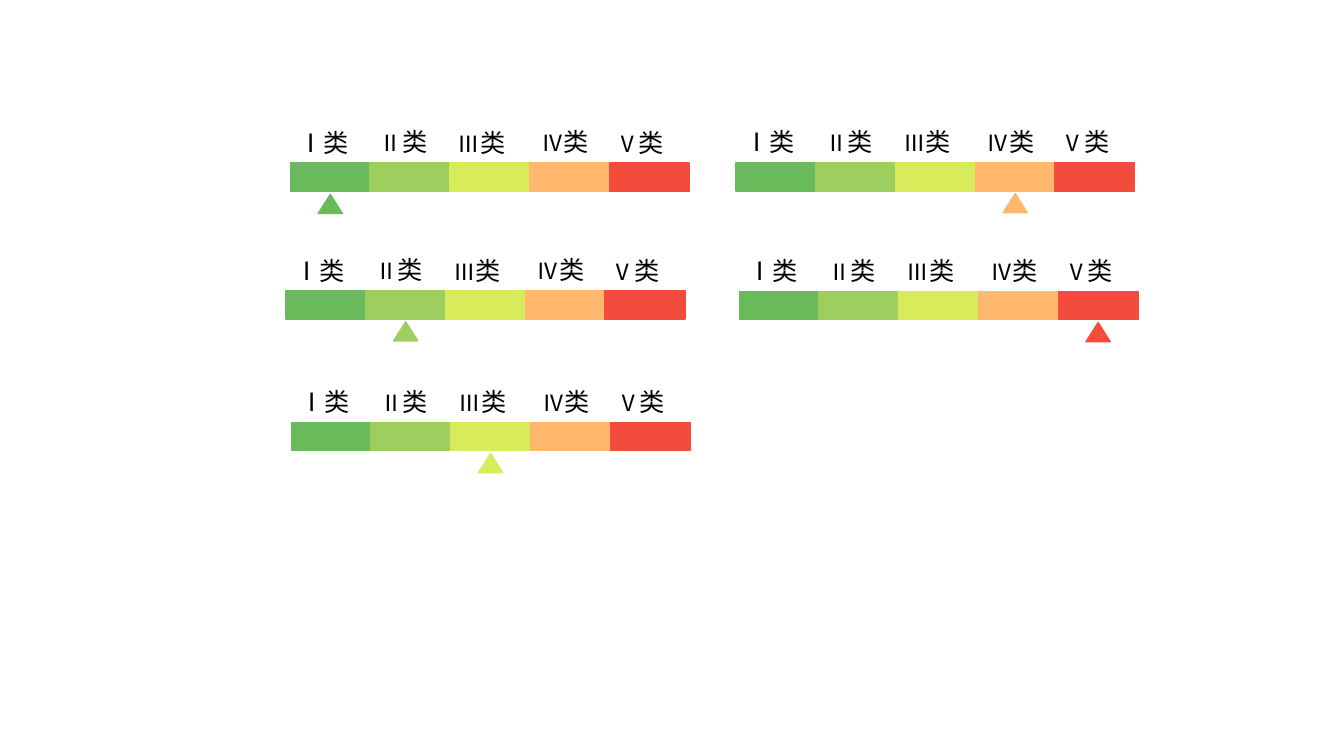
from lxml.etree import SubElement
from pptx import Presentation
from pptx.dml.color import RGBColor
from pptx.enum.shapes import MSO_SHAPE
from pptx.enum.text import MSO_AUTO_SIZE
from pptx.oxml.ns import qn
from pptx.util import Cm, Pt

BLACK = RGBColor(0x00, 0x00, 0x00)
GREEN = RGBColor(0x68, 0xBA, 0x5B)
LIGHT_GREEN = RGBColor(0x9E, 0xCE, 0x5E)
YELLOW = RGBColor(0xD8, 0xEB, 0x5B)
ORANGE = RGBColor(0xFF, 0xB8, 0x6E)
RED = RGBColor(0xF3, 0x4C, 0x3C)

CHINESE_FONT = "Noto Sans CJK SC"
NUMERAL_FONT = "Courier New"

CELL_WIDTH, CELL_HEIGHT = 2.01, 0.72
LABEL_HEIGHT = 1.02
MARKER_WIDTH, MARKER_HEIGHT = 0.61, 0.48
MARKER_DROP = 0.79

# numeral, numeral font, numeral size, colour, label shift right, label lift
GRADES = [
    ("Ⅰ", CHINESE_FONT, 18, GREEN, -0.04, 1.02),
    ("Ⅱ", NUMERAL_FONT, 16, LIGHT_GREEN, -0.01, 1.04),
    ("Ⅲ", NUMERAL_FONT, 16, YELLOW, -0.05, 1.02),
    ("Ⅳ", NUMERAL_FONT, 16, ORANGE, 0.04, 1.04),
    ("Ⅴ", NUMERAL_FONT, 16, RED, -0.08, 1.02),
]

SCALES = [
    (7.32, 4.11, 0),
    (7.21, 7.32, 1),
    (7.34, 10.64, 2),
    (18.55, 4.09, 3),
    (18.63, 7.34, 4),
]


def add_solid(page, kind, left, top, width, height, colour):
    shape = page.shapes.add_shape(kind, Cm(left), Cm(top), Cm(width), Cm(height))
    shape.shadow.inherit = False
    shape.fill.solid()
    shape.fill.fore_color.rgb = colour
    shape.line.color.rgb = colour
    shape.line.width = Pt(1)


def add_span(para, text, font_name, size):
    span = para.add_run()
    span.text = text
    span.font.size = Pt(size)
    span.font.color.rgb = BLACK
    span.font.name = font_name
    SubElement(span.font._element, qn("a:ea")).set("typeface", font_name)


def add_label(page, left, top, numeral, font_name, size):
    box = page.shapes.add_textbox(Cm(left), Cm(top), Cm(CELL_WIDTH), Cm(LABEL_HEIGHT))
    box.text_frame.word_wrap = True
    box.text_frame.auto_size = MSO_AUTO_SIZE.SHAPE_TO_FIT_TEXT
    para = box.text_frame.paragraphs[0]
    if font_name == CHINESE_FONT:
        add_span(para, numeral + "类", font_name, size)
    else:
        add_span(para, numeral, font_name, size)
        add_span(para, "类", CHINESE_FONT, 18)


def add_scale(page, left, top, marked):
    for index, (numeral, font_name, size, colour, shift, lift) in enumerate(GRADES):
        cell_left = left + index * CELL_WIDTH
        add_solid(page, MSO_SHAPE.RECTANGLE, cell_left, top, CELL_WIDTH, CELL_HEIGHT, colour)
        add_label(page, cell_left + shift, top - lift, numeral, font_name, size)
        if index == marked:
            marker_left = cell_left + (CELL_WIDTH - MARKER_WIDTH) / 2
            add_solid(page, MSO_SHAPE.ISOSCELES_TRIANGLE, marker_left, top + MARKER_DROP,
                      MARKER_WIDTH, MARKER_HEIGHT, colour)


def main():
    deck = Presentation()
    deck.slide_width, deck.slide_height = Cm(33.87), Cm(19.05)
    page = deck.slides.add_slide(deck.slide_layouts[6])
    for left, top, marked in SCALES:
        add_scale(page, left, top, marked)
    deck.save("out.pptx")


if __name__ == "__main__":
    main()
